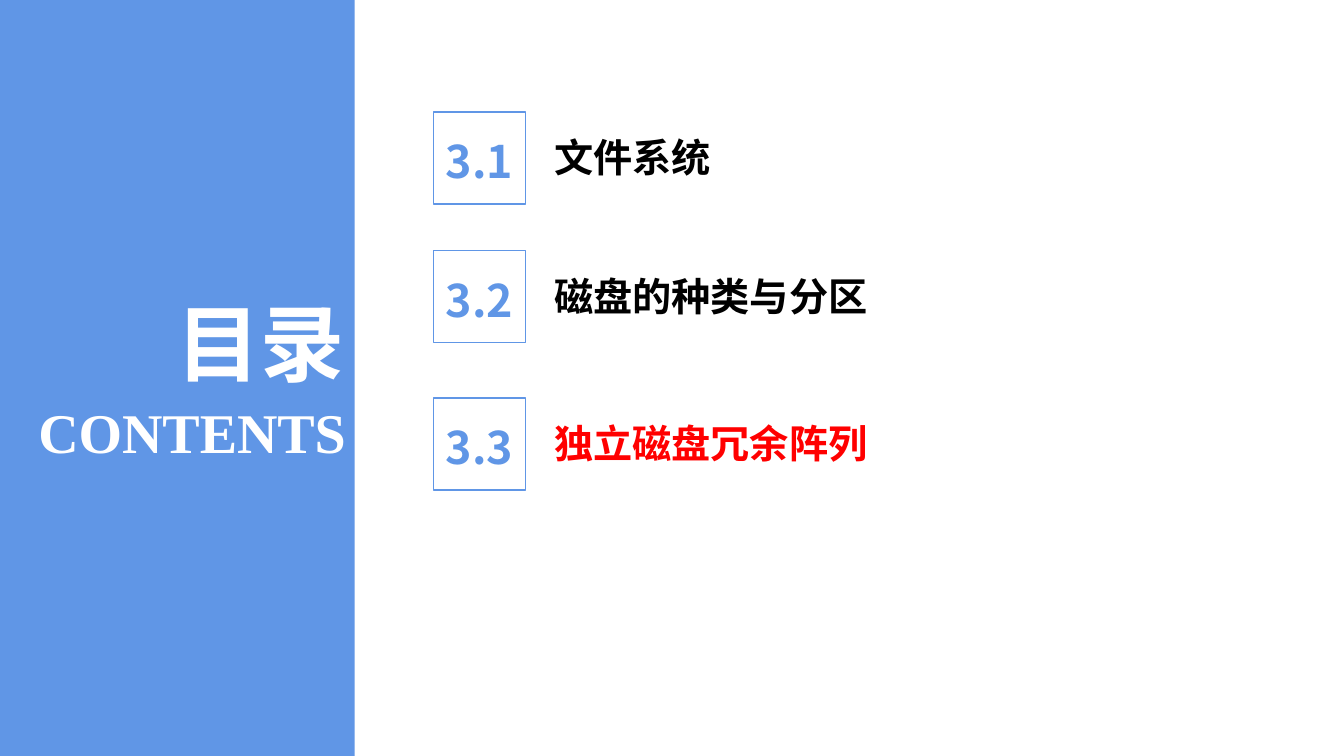
from dataclasses import dataclass

import pptx
import pptx.dml.color
import pptx.enum.shapes
import pptx.enum.text
import pptx.oxml.ns
import pptx.util
from lxml import etree

Cm = pptx.util.Cm
Align = pptx.enum.text.PP_ALIGN


@dataclass(frozen=True)
class Theme:
    blue: str = "6096E6"
    white: str = "FFFFFF"
    black: str = "000000"
    red: str = "FF0000"
    chinese: str = "Noto Sans CJK SC"
    latin: str = "Times New Roman"
    title_size: int = 60
    subtitle_size: int = 40
    number_size: int = 32
    label_size: int = 28


class ContentsPage:
    def __init__(self, slide, theme):
        self.slide = slide
        self.theme = theme

    def color(self, value):
        return pptx.dml.color.RGBColor.from_string(value)

    def rectangle(self, shapes, left, top, width, height, fill=None, line=None):
        box = shapes.add_shape(
            pptx.enum.shapes.MSO_SHAPE.RECTANGLE, Cm(left), Cm(top), Cm(width), Cm(height)
        )
        box.shadow.inherit = False
        if fill:
            box.fill.solid()
            box.fill.fore_color.rgb = self.color(fill)
        else:
            box.fill.background()
        if line:
            box.line.color.rgb = self.color(line)
            box.line.width = pptx.util.Pt(1)
        else:
            box.line.fill.background()
        return box

    def fill_text(self, box, text, size, color, align, font_name):
        frame = box.text_frame
        frame.text = text
        frame.word_wrap = True
        frame.auto_size = pptx.enum.text.MSO_AUTO_SIZE.NONE
        frame.vertical_anchor = pptx.enum.text.MSO_ANCHOR.TOP
        para = frame.paragraphs[0]
        para.alignment = align
        para.font.size = pptx.util.Pt(size)
        para.font.bold = True
        para.font.color.rgb = self.color(color)
        para.font.name = font_name
        for properties in box.element.iter(pptx.oxml.ns.qn("a:defRPr")):
            east_asian = etree.SubElement(properties, pptx.oxml.ns.qn("a:ea"))
            east_asian.set("typeface", font_name)

    def text(self, shapes, left, top, width, height, text, size, color, align, font_name):
        box = shapes.add_textbox(Cm(left), Cm(top), Cm(width), Cm(height))
        self.fill_text(box, text, size, color, align, font_name)

    def side_panel(self, title_text, subtitle_text):
        theme = self.theme
        shapes = self.slide.shapes
        panel = self.rectangle(shapes, 0, 0, 8.94, 19.05, fill=theme.blue)
        title = shapes.title
        title.element.addprevious(panel.element)
        title.left, title.top = Cm(2.49), Cm(7.21)
        title.width, title.height = Cm(6.45), Cm(2.82)
        self.fill_text(title, title_text, theme.title_size, theme.white, Align.RIGHT, theme.chinese)
        self.text(shapes, 0, 9.88, 8.97, 1.96, subtitle_text,
                  theme.subtitle_size, theme.white, Align.RIGHT, theme.latin)

    def entry(self, top, number, label, label_color):
        theme = self.theme
        left, side = 10.92, 2.32
        shapes = self.slide.shapes.add_group_shape().shapes
        self.text(shapes, 13.72, top + 0.41, 15.06, 1.45, label,
                  theme.label_size, label_color, Align.LEFT, theme.chinese)
        self.text(shapes, left, top + 0.43, side, 1.63, number,
                  theme.number_size, theme.blue, Align.CENTER, theme.chinese)
        self.rectangle(shapes, left, top, side, side, line=theme.blue)


def main():
    deck = pptx.Presentation()
    deck.slide_width, deck.slide_height = Cm(33.87), Cm(19.05)
    theme = Theme()
    page = ContentsPage(deck.slides.add_slide(deck.slide_layouts.get_by_name("Title Only")), theme)
    page.side_panel("目录", "CONTENTS")
    entries = [
        (2.82, "3.1", "文件系统", theme.black),
        (6.32, "3.2", "磁盘的种类与分区", theme.black),
        (10.03, "3.3", "独立磁盘冗余阵列", theme.red),
    ]
    for entry in entries:
        page.entry(*entry)
    deck.save("out.pptx")


if __name__ == "__main__":
    main()
